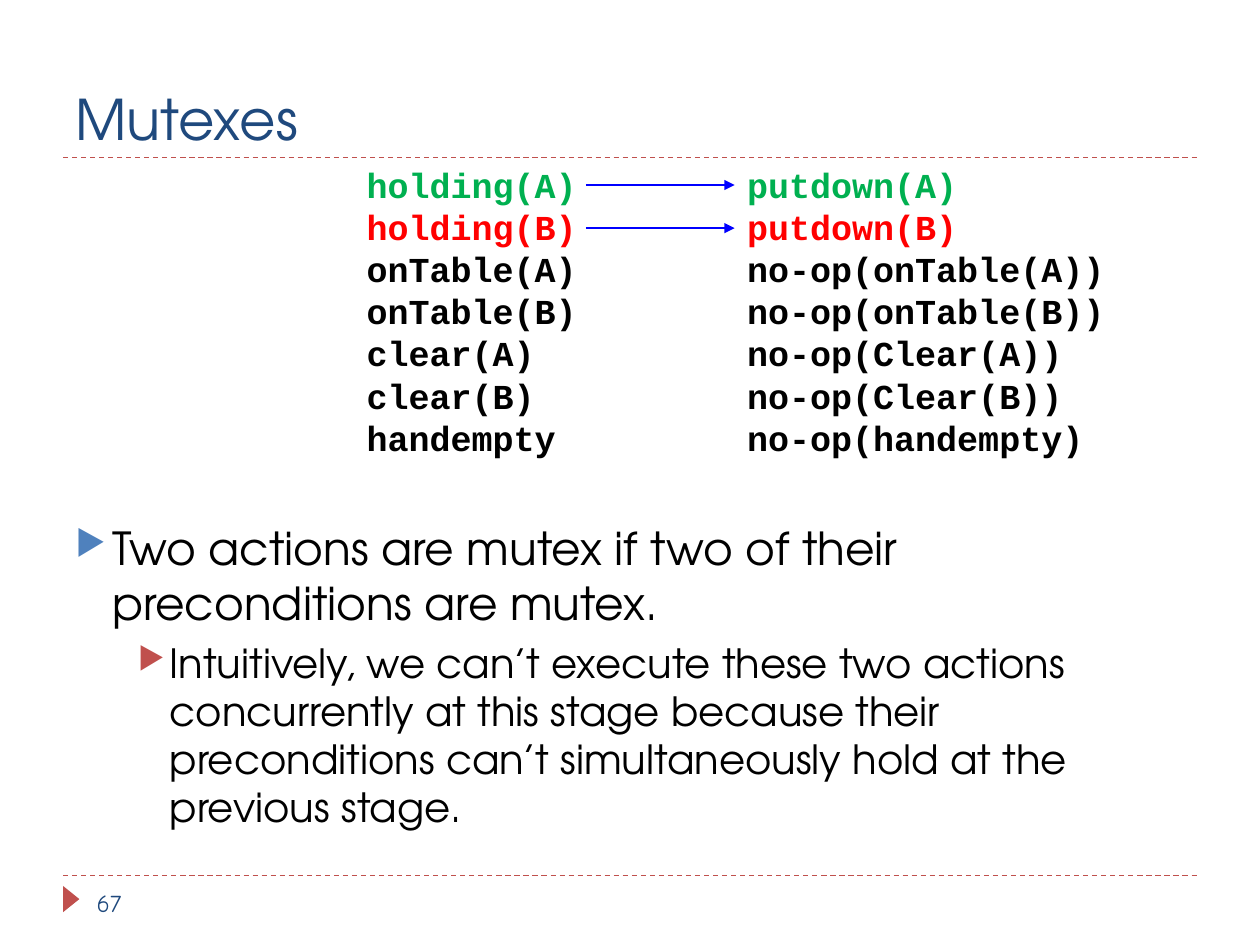
from lxml import etree
from pptx import Presentation
from pptx import util as u
from pptx.dml.color import RGBColor
from pptx.enum import dml, shapes, text
from pptx.oxml.ns import qn

HEADING = "TeX Gyre Adventor"
CODE = "Courier New"
GREEN, RED, BLACK, NAVY = "00B050", "FF0000", "000000", "1F497D"
ACCENT, BULLET, ARROW = "C0504D", "4F81BD", "0000FF"

FACTS = ["holding(A)", "holding(B)", "onTable(A)", "onTable(B)",
         "clear(A)", "clear(B)", "handempty"]
ACTIONS = ["putdown(A)", "putdown(B)", "no-op(onTable(A))", "no-op(onTable(B))",
           "no-op(Clear(A))", "no-op(Clear(B))", "no-op(handempty)"]
ROW_COLORS = [GREEN, RED] + [BLACK] * 5


def rgb(value):
    return RGBColor.from_string(value)


def add_frame(slide, left, top, width, height, anchor=text.MSO_ANCHOR.TOP):
    box = slide.shapes.add_textbox(u.Cm(left), u.Cm(top), u.Cm(width), u.Cm(height))
    frame = box.text_frame
    frame.word_wrap = True
    frame.vertical_anchor = anchor
    return frame


def write(paragraph, words, color, **font_format):
    run = paragraph.add_run()
    run.text = words
    for name, value in font_format.items():
        setattr(run.font, name, value)
    run.font.color.rgb = rgb(color)


def set_bullet(paragraph, color, indent, hanging):
    """Give the paragraph a triangular bullet and a hanging indent."""
    props = paragraph._p.get_or_add_pPr()
    props.set("marL", str(u.Cm(indent)))
    props.set("indent", str(-u.Cm(hanging)))
    bullet_color = etree.SubElement(props, qn("a:buClr"))
    etree.SubElement(bullet_color, qn("a:srgbClr"), val=color)
    etree.SubElement(props, qn("a:buSzPct"), val="76000")
    etree.SubElement(props, qn("a:buChar"), char="▶")


def add_line(slide, left, right, y, color, width):
    line = slide.shapes.add_connector(
        shapes.MSO_CONNECTOR.STRAIGHT, u.Cm(left), u.Cm(y), u.Cm(right), u.Cm(y))
    line.line.color.rgb = rgb(color)
    line.line.width = u.Pt(width)
    etree.SubElement(line._element.spPr, qn("a:effectLst"))
    return line


def add_rule(slide, y):
    rule = add_line(slide, 1.27, 24.13, y, ACCENT, 0.75)
    rule.line.dash_style = dml.MSO_LINE.DASH


def add_arrow(slide, y):
    arrow = add_line(slide, 11.81, 14.81, y, ARROW, 1.5)
    etree.SubElement(arrow.line._get_or_add_ln(), qn("a:tailEnd"), type="triangle")


def add_page_marker(slide):
    marker = slide.shapes.add_shape(
        shapes.MSO_SHAPE.ISOSCELES_TRIANGLE,
        u.Cm(1.17), u.Cm(17.96), u.Cm(0.53), u.Cm(0.33))
    marker.rotation = 90
    marker.shadow.inherit = False
    marker.fill.solid()
    marker.fill.fore_color.rgb = rgb(ACCENT)
    marker.line.fill.background()


def add_code_list(slide, left, width, lines):
    frame = add_frame(slide, left, 3.18, width, 6.2)
    for index, (line, color) in enumerate(zip(lines, ROW_COLORS)):
        paragraph = frame.add_paragraph() if index else frame.paragraphs[0]
        write(paragraph, line, color, name=CODE, size=u.Pt(20), bold=True)


def add_explanation(slide):
    frame = add_frame(slide, 1.27, 10.36, 22.86, 6.65)
    rule = frame.paragraphs[0]
    set_bullet(rule, BULLET, 0.74, 0.74)
    write(rule, "Two actions are mutex if two of their preconditions are mutex.",
          BLACK, name=HEADING, size=u.Pt(26))
    intuition = frame.add_paragraph()
    intuition.level = 1
    set_bullet(intuition, ACCENT, 1.9, 0.64)
    intuition.space_before = u.Pt(5)
    write(intuition, "Intuitively, we can’t execute these two actions concurrently "
          "at this stage because their preconditions can’t simultaneously hold "
          "at the previous stage.", BLACK, name=HEADING, size=u.Pt(23))


def main():
    deck = Presentation()
    deck.slide_width, deck.slide_height = u.Cm(25.4), u.Cm(19.05)
    slide = deck.slides.add_slide(deck.slide_layouts[6])

    for y in (17.65, 3.18):
        add_rule(slide, y)
    add_page_marker(slide)

    title = add_frame(slide, 1.27, 0.43, 22.86, 2.75, text.MSO_ANCHOR.BOTTOM)
    write(title.paragraphs[0], "Mutexes", NAVY, name=HEADING, size=u.Pt(32))
    add_explanation(slide)
    page = add_frame(slide, 1.7, 17.78, 5.5, 0.9)
    write(page.paragraphs[0], "67", NAVY, name="Comic Neue", size=u.Pt(14))

    add_code_list(slide, 14.81, 7.82, ACTIONS)
    add_code_list(slide, 7.14, 6.55, FACTS)
    for y in (3.73, 4.6):
        add_arrow(slide, y)

    deck.save("out.pptx")


if __name__ == "__main__":
    main()
